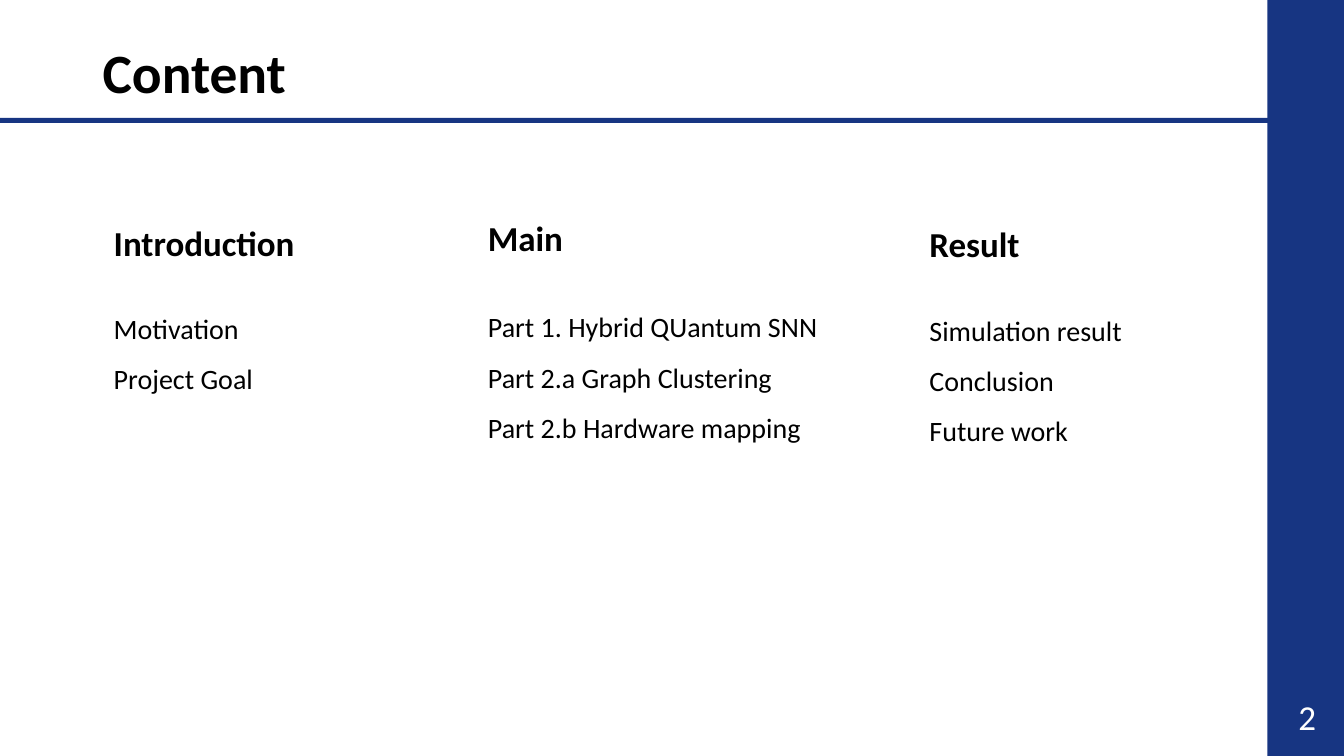
from pptx import Presentation
from pptx import util as u
from pptx.dml.color import RGBColor
from pptx.enum import shapes, text

W, H = 13.33, 7.5
BAR_W = 0.76
COLORS = {"navy": "173582", "black": "000000", "white": "FFFFFF"}
TITLE = {"size": u.Pt(39.6), "bold": True}
HEADING = {"size": u.Pt(25), "bold": True}
ITEM = {"size": u.Pt(20), "bold": False}
NUMBER = {"size": u.Pt(25), "bold": False}

# Left, heading top, list top, list width, heading, items
COLUMNS = [
    (1.03, 2.15, 2.87, 2.4, "Introduction", ["Motivation", "Project Goal"]),
    (4.74, 2.1, 2.86, 4.19, "Main",
     ["Part 1. Hybrid QUantum SNN", "Part 2.a Graph Clustering",
      "Part 2.b Hardware mapping"]),
    (9.12, 2.16, 2.89, 2.4, "Result",
     ["Simulation\u00a0result".replace("\u00a0", " "), "Conclusion", "Future work"]),
]


def add_rect(s, box):
    sp = s.shapes.add_shape(shapes.MSO_SHAPE.RECTANGLE, *map(u.Inches, box))
    sp.shadow.inherit = False
    sp.fill.solid()
    sp.fill.fore_color.rgb = RGBColor.from_string(COLORS["navy"])
    sp.line.fill.background()


def add_text(s, box, lines, font, color="black", spacing=1.0,
             anchor=text.MSO_ANCHOR.TOP, align=text.PP_ALIGN.LEFT):
    tf = s.shapes.add_textbox(*map(u.Inches, box)).text_frame
    tf.word_wrap = True
    tf.vertical_anchor = anchor
    for i, line in enumerate(lines):
        p = tf.add_paragraph() if i else tf.paragraphs[0]
        p.alignment, p.line_spacing = align, spacing
        r = p.add_run()
        r.text = line
        r.font.name = "Calibri"
        r.font.color.rgb = RGBColor.from_string(COLORS[color])
        for name, value in font.items():
            setattr(r.font, name, value)


def add_header(s, x, y, w, h):
    # Title above a full-width rule
    add_text(s, (x + 0.92, y + 0.42, w - 1.83, 0.65), ["Content"], TITLE,
             spacing=0.9, anchor=text.MSO_ANCHOR.MIDDLE)
    add_rect(s, (x, y + h - 0.05, w, 0.05))


def add_sidebar(s, x, y, w, h):
    # Side bar with the slide number at its foot
    add_rect(s, (x, y, w, h))
    add_text(s, (x + 0.2, y + h - 0.74, w / 2, 0.7), ["2"], NUMBER, "white",
             anchor=text.MSO_ANCHOR.MIDDLE, align=text.PP_ALIGN.RIGHT)


def add_column(s, x, y, list_y, w, heading, items):
    # Bold heading over a spaced list
    add_text(s, (x, y, 2.54, 0.52), [heading], HEADING)
    add_text(s, (x, list_y, w, 0.06 + 0.5 * len(items)), items, ITEM,
             spacing=1.5)


def main():
    prs = Presentation()
    prs.slide_width, prs.slide_height = u.Inches(W), u.Inches(H)
    s = prs.slides.add_slide(prs.slide_layouts[6])
    add_header(s, 0, 0, W, 1.22)
    add_sidebar(s, W - BAR_W, 0, BAR_W, H)
    for column in COLUMNS:
        add_column(s, *column)
    prs.save("out.pptx")


if __name__ == "__main__":
    main()
